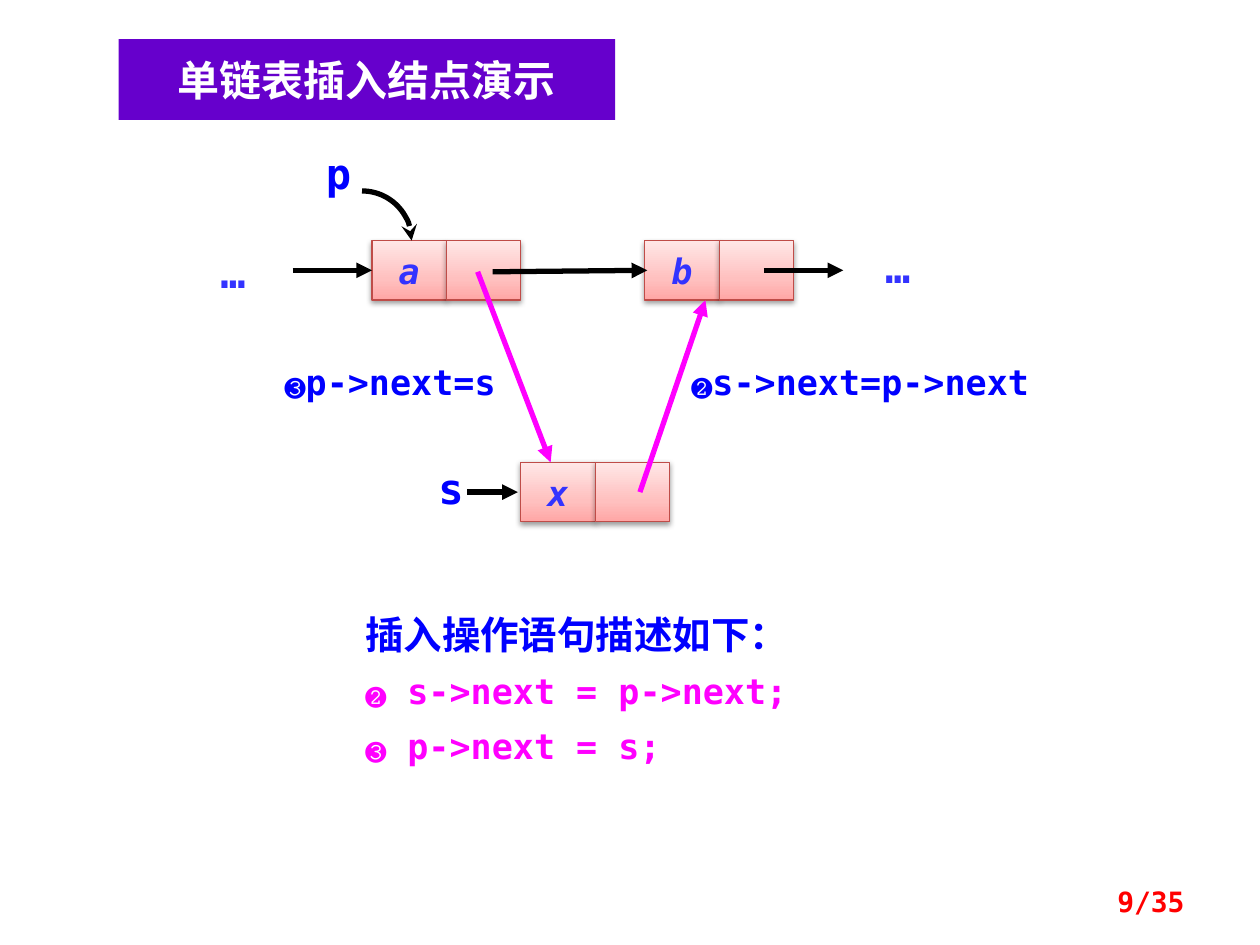
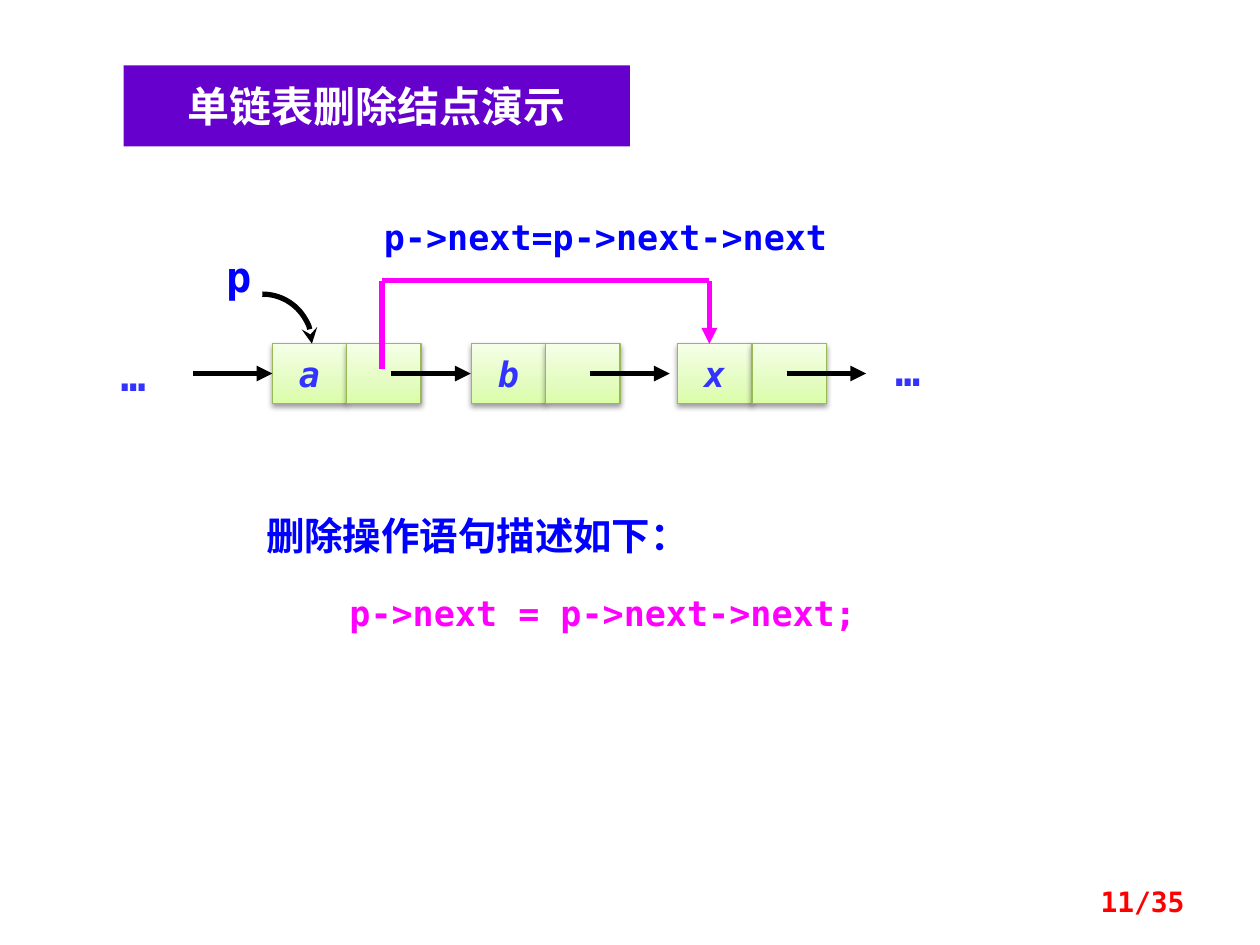
from lxml import etree
from pptx import Presentation
from pptx import util as u
from pptx.dml.color import RGBColor
from pptx.enum import shapes, text
from pptx.oxml.ns import qn

FONT = "DejaVu Sans Mono"
BLUE, INK, PINK = "0000FF", "3333FF", "FF00FF"
BLACK, WHITE, RED, BAND = "000000", "FFFFFF", "FF0000", "6600CC"
ROSE = ("BF4C48", ("FFA6A5", "FFC0BF", "FFE7E7"))
LIME = ("98B955", ("DAFDA7", "E4FCC2", "F5FFE7"))
STOPS = (0, 0.35, 1)
CELL_W, CELL_H = 1.5, 1.2
MID = CELL_H / 2
LEFT, CENTER, RIGHT = text.PP_ALIGN.LEFT, text.PP_ALIGN.CENTER, text.PP_ALIGN.RIGHT


def rgb(code):
    return RGBColor.from_string(code)


def place(shape, x, y, w, h):
    shape.left, shape.top, shape.width, shape.height = map(u.Cm, (x, y, w, h))


def style(para, size, color, align=LEFT, bold=True, italic=False):
    para.alignment = align
    for run in para.runs:
        font = run.font
        font.name, font.size = FONT, u.Pt(size)
        font.bold, font.italic = bold, italic
        font.color.rgb = rgb(color)


def stroke(shape, color, head):
    shape.line.color.rgb = rgb(color)
    shape.line.width = u.Pt(3)
    if head:
        line = shape.element.spPr.find(qn("a:ln"))
        etree.SubElement(line, qn("a:tailEnd"), type=head)


def arrow(slide, x1, y1, x2, y2, color=BLACK, head="triangle"):
    line = slide.shapes.add_connector(
        shapes.MSO_CONNECTOR.STRAIGHT, *map(u.Cm, (x1, y1, x2, y2)))
    stroke(line, color, head)
    etree.SubElement(line.element.spPr, qn("a:effectLst"))


def label(slide, x, y, w, h, words, size, color, align=LEFT):
    box = slide.shapes.add_textbox(*map(u.Cm, (x, y, w, h)))
    frame = box.text_frame
    frame.word_wrap = True
    frame.text = words
    style(frame.paragraphs[0], size, color, align)
    return frame


def dots(slide, x, y):
    label(slide, x, y, 1.6, 1.27, "…", 24, INK, CENTER)


def cell(slide, x, y, look, letter):
    edge, shades = look
    box = slide.shapes.add_shape(
        shapes.MSO_SHAPE.RECTANGLE, *map(u.Cm, (x, y, CELL_W, CELL_H)))
    box.fill.gradient()
    box.fill.gradient_angle = 90
    stops = box.element.spPr.find(".//" + qn("a:gsLst"))
    etree.SubElement(stops, qn("a:gs"), pos="0")
    for stop, spot, shade in zip(box.fill.gradient_stops, STOPS, shades):
        stop.position = spot
        stop.color.rgb = rgb(shade)
    box.line.color.rgb = rgb(edge)
    box.line.width = u.Pt(0.75)
    box.shadow.inherit = False
    glow = etree.SubElement(
        box.element.spPr.find(qn("a:effectLst")), qn("a:outerShdw"),
        blurRad="40000", dist="20000", dir="5400000", rotWithShape="0")
    tint = etree.SubElement(glow, qn("a:srgbClr"), val=BLACK)
    etree.SubElement(tint, qn("a:alpha"), val="38000")
    if letter:
        frame = box.text_frame
        frame.word_wrap = False
        frame.vertical_anchor = text.MSO_ANCHOR.MIDDLE
        frame.text = letter
        style(frame.paragraphs[0], 20, INK, CENTER, italic=True)


def node(slide, x, y, look, letter):
    for col, word in enumerate((letter, "")):
        cell(slide, x + col * CELL_W, y, look, word)


def link(slide, x, y, start=2.4):
    arrow(slide, x + start, y + MID, x + start + 1.6, y + MID)


def entry(slide, x, y):
    dots(slide, x - 3.6, y)
    link(slide, x, y, -1.6)
    label(slide, x - 1.18, y - 2, 1.2, 1.27, "p", 24, BLUE)
    arc = slide.shapes.add_shape(
        shapes.MSO_SHAPE.ARC, *map(u.Cm, (x - 1.2, y - 1, 2, 2)))
    arc.fill.background()
    arc.shadow.inherit = False
    stroke(arc, BLACK, "stealth")


def heading(slide, words, x, y, w):
    title = slide.shapes.title
    place(title, x, y, w, 1.63)
    title.fill.solid()
    title.fill.fore_color.rgb = rgb(BAND)
    frame = title.text_frame
    frame.auto_size = text.MSO_AUTO_SIZE.NONE
    frame.margin_left = frame.margin_right = u.Cm(0.46)
    frame.margin_top = frame.margin_bottom = u.Cm(0.3)
    frame.text = words
    style(frame.paragraphs[0], 24, WHITE, CENTER)


def steps(slide, lines, x, y, w, h, space, indent=0, before=0):
    body = slide.placeholders[1]
    place(body, x, y, w, h)
    frame = body.text_frame
    frame.auto_size = text.MSO_AUTO_SIZE.NONE
    frame.text = "\n".join(lines)
    for row, para in enumerate(frame.paragraphs):
        para.line_spacing = space
        para.space_before = u.Pt(before if row else 0)
        style(para, 20 if row else 22, PINK if row else BLUE)
        props = para._p.get_or_add_pPr()
        props.set("marL", str(u.Cm(indent if row else 0)))
        props.set("indent", "0")
        etree.SubElement(props, qn("a:buNone"))


def page(slide, number):
    frame = label(slide, 18.21, 17.65, 5.92, 1.02, f"{number}/35", 16, RED, RIGHT)
    frame.vertical_anchor = text.MSO_ANCHOR.MIDDLE


def insert(slide, x, y):
    next_x, new_x, new_y = x + 5.5, x + 3, y + 4.47
    node(slide, x, y, ROSE, "a")
    node(slide, next_x, y, ROSE, "b")
    node(slide, new_x, new_y, ROSE, "x")
    entry(slide, x, y)
    arrow(slide, x + 2.43, y + 0.63, next_x + 0.05, y + MID)
    link(slide, next_x, y)
    dots(slide, next_x + 4.3, y - 0.1)
    label(slide, new_x - 1.91, new_y - 0.13, 1.2, 1.27, "s", 24, BLUE)
    arrow(slide, new_x - 1.08, new_y + MID, new_x - 0.06, new_y + MID)
    arrow(slide, new_x + 2.4, new_y + MID, next_x + 1.22, y + CELL_H, PINK)
    arrow(slide, x + 2.13, y + 0.63, new_x + 0.6, new_y, PINK)
    label(slide, x + 6.19, y + 2.29, 7.82, 1.09, "❷s->next=p->next", 20, BLUE)
    label(slide, x - 2.01, y + 2.29, 5.26, 1.09, "❸p->next=s", 20, BLUE)


def delete(slide, x, y):
    next_x, last_x = x + 4.01, x + 8.17
    for left, letter in ((x, "a"), (next_x, "b"), (last_x, "x")):
        node(slide, left, y, LIME, letter)
    entry(slide, x, y)
    link(slide, x, y)
    link(slide, next_x, y)
    link(slide, last_x, y, 2.2)
    dots(slide, last_x + 3.84, y - 0.1)
    label(slide, x + 2, y - 2.71, 10.39, 1.09, "p->next=p->next->next", 20, BLUE)
    from_x, to_x, top = x + 2.21, x + 8.81, y - 1.27
    arrow(slide, from_x, y + 0.51, from_x, top, PINK, None)
    arrow(slide, to_x, top, to_x, y, PINK)
    arrow(slide, from_x, top, to_x, top, PINK, None)


def main():
    deck = Presentation()
    deck.slide_width, deck.slide_height = u.Cm(25.4), u.Cm(19.05)
    layout = deck.slide_layouts[1]

    slide = deck.slides.add_slide(layout)
    heading(slide, "单链表插入结点演示", 2.39, 0.79, 10.01)
    insert(slide, 7.5, 4.85)
    steps(slide, ("插入操作语句描述如下：", "❷ s->next = p->next;", "❸ p->next = s;"),
          7.11, 11.91, 10.8, 3.78, 1.3)
    page(slide, 9)

    slide = deck.slides.add_slide(layout)
    heading(slide, "单链表删除结点演示", 2.49, 1.32, 10.21)
    delete(slide, 5.49, 6.93)
    steps(slide, ("删除操作语句描述如下：", "p->next = p->next->next;"),
          5.11, 9.73, 13.61, 3.2, 1.5, 1.68, 7)
    page(slide, 11)

    deck.save("out.pptx")


if __name__ == "__main__":
    main()
